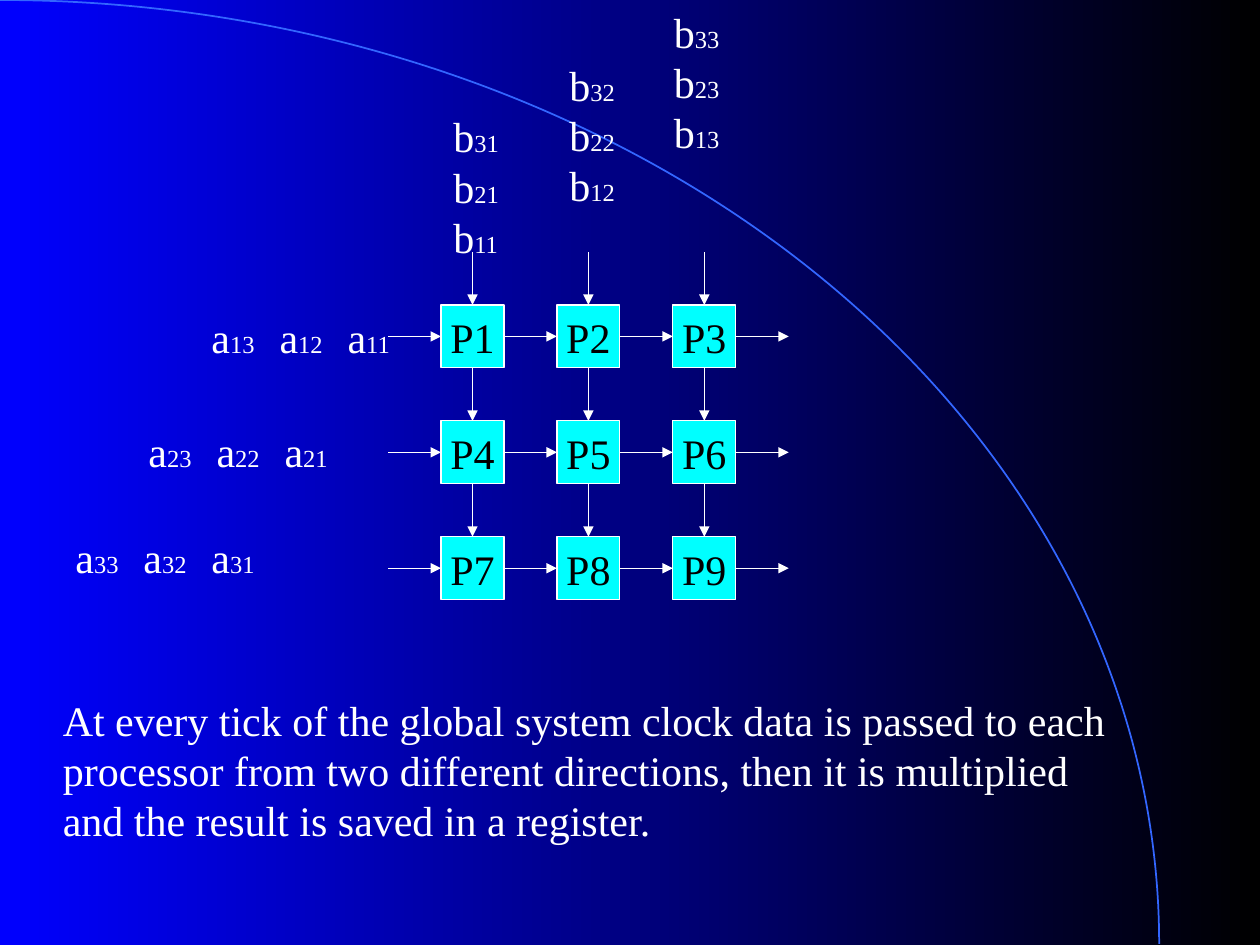
from pptx import Presentation
from pptx.dml.color import RGBColor
from pptx.enum.shapes import MSO_CONNECTOR, MSO_SHAPE
from pptx.enum.text import MSO_ANCHOR, PP_ALIGN
from pptx.oxml.ns import qn
from pptx.util import Inches, Pt
from lxml import etree

RECTANGLE, ARC = MSO_SHAPE.RECTANGLE, MSO_SHAPE.ARC
STRAIGHT = MSO_CONNECTOR.STRAIGHT
CENTER, MIDDLE = PP_ALIGN.CENTER, MSO_ANCHOR.MIDDLE
TOP, LEFT, BOTTOM, RIGHT = range(4)

FONT = "Times New Roman"
WHITE, BLACK, BLUE, CYAN, ARC_BLUE = "FFFFFF", "000000", "0000FF", "00FFFF", "3366FF"
CELL, GAP = Inches(0.5), Inches(0.42)
TERM_STEP = Inches(0.54)
CLOCK_NOTE = (
    "At every tick of the global system clock data is passed to each",
    "processor from two different directions, then it is multiplied",
    "and the result is saved in a register.",
)


def color(hex_value):
    return RGBColor.from_string(hex_value)


def format_span(span, size=24, hex_value=WHITE):
    span.font.name = FONT
    span.font.size = Pt(size)
    span.font.color.rgb = color(hex_value)


def add_span(para, text, size=24):
    span = para.add_run()
    span.text = text
    format_span(span, size)


def add_text_frame(page, left, top, width, height):
    frame = page.shapes.add_textbox(left, top, width, height).text_frame
    frame.word_wrap = True
    frame.margin_right = 0
    return frame


def add_backdrop(page, width, height):
    """Gradient background and the quarter ellipse across the page."""
    fill = page.background.fill
    fill.gradient()
    fill.gradient_angle = 0
    for stop, hex_value in zip(fill.gradient_stops, (BLUE, BLACK)):
        stop.color.rgb = color(hex_value)
    arc = page.shapes.add_shape(ARC, -width, 0, width * 2, height * 2)
    arc.shadow.inherit = False
    arc.fill.background()
    arc.line.color.rgb = color(ARC_BLUE)
    arc.line.width = Pt(1)


def add_arrow(page, start, end, source=None, target=None):
    """source and target are (cell, connection site) pairs."""
    arrow = page.shapes.add_connector(STRAIGHT, *start, *end)
    if source:
        arrow.begin_connect(*source)
    if target:
        arrow.end_connect(*target)
    arrow.line.color.rgb = color(WHITE)
    arrow.line.width = Pt(0.75)
    etree.SubElement(arrow.line._get_or_add_ln(), qn("a:tailEnd"), type="triangle")
    etree.SubElement(arrow._element.spPr, qn("a:effectLst"))


def add_processor(page, left, top, name):
    cell = page.shapes.add_shape(RECTANGLE, left, top, CELL, CELL)
    cell.shadow.inherit = False
    cell.fill.solid()
    cell.fill.fore_color.rgb = color(CYAN)
    cell.line.color.rgb = color(WHITE)
    cell.line.width = Pt(0.75)
    frame = cell.text_frame
    frame.word_wrap = False
    frame.vertical_anchor = MIDDLE
    para = frame.paragraphs[0]
    para.text = name
    para.alignment = CENTER
    format_span(para.runs[0], hex_value=BLACK)
    return cell


def add_processor_grid(page, left, top, count=3):
    """Square grid of processors with the data arrows between them."""
    step = CELL + GAP
    cells = {
        (row, column): add_processor(
            page, left + column * step, top + row * step, f"P{row * count + column + 1}"
        )
        for row in range(count)
        for column in range(count)
    }
    for (row, column), cell in cells.items():
        middle_x, middle_y = cell.left + CELL // 2, cell.top + CELL // 2
        right = cell.left + CELL
        before, above = cells.get((row, column - 1)), cells.get((row - 1, column))
        add_arrow(page, (cell.left - GAP, middle_y), (cell.left, middle_y),
                  before and (before, RIGHT), (cell, LEFT))
        add_arrow(page, (middle_x, cell.top - GAP), (middle_x, cell.top),
                  above and (above, BOTTOM), (cell, TOP))
        if column == count - 1:
            add_arrow(page, (right, middle_y), (right + GAP, middle_y), (cell, RIGHT))


def add_row_input(page, left, top, row):
    """Terms of one matrix row, set apart by tab stops."""
    frame = add_text_frame(page, left, top, Inches(1.62), Inches(0.5))
    para = frame.paragraphs[0]
    tabs = etree.SubElement(para._p.get_or_add_pPr(), qn("a:tabLst"))
    for number in (1, 2):
        etree.SubElement(tabs, qn("a:tab"), pos=str(number * TERM_STEP), algn="l")
    for column in (3, 2, 1):
        add_span(para, "a")
        add_span(para, f"{row}{column}" + ("\t" if column > 1 else ""), 14)


def add_column_input(page, left, top, column):
    """Terms of one matrix column, stacked."""
    frame = add_text_frame(page, left, top, Inches(0.56), Inches(1.3))
    for row in (3, 2, 1):
        para = frame.paragraphs[0] if row == 3 else frame.add_paragraph()
        add_span(para, "b")
        add_span(para, f"{row}{column}", 14)


def add_note(page, left, top, width, height):
    frame = add_text_frame(page, left, top, width, height)
    frame.text = "\n".join(CLOCK_NOTE)
    for para in frame.paragraphs:
        format_span(para.runs[0])


def main():
    deck = Presentation()
    deck.slide_width, deck.slide_height = Inches(10), Inches(7.5)
    page = deck.slides.add_slide(deck.slide_layouts[6])
    add_backdrop(page, Inches(9.2), Inches(7.49))
    add_processor_grid(page, Inches(3.5), Inches(2.42))

    # Inputs, each one step later than the one before
    row_places = ((1.58, 2.42), (1.08, 3.33), (0.5, 4.17))
    column_places = ((3.5, 0.83), (4.42, 0.42), (5.25, 0))
    for add_input, places in ((add_row_input, row_places), (add_column_input, column_places)):
        for number, (left, top) in enumerate(places, start=1):
            add_input(page, Inches(left), Inches(top), number)

    add_note(page, Inches(0.4), Inches(5.46), Inches(8.47), Inches(1.3))
    deck.save("out.pptx")


if __name__ == "__main__":
    main()
